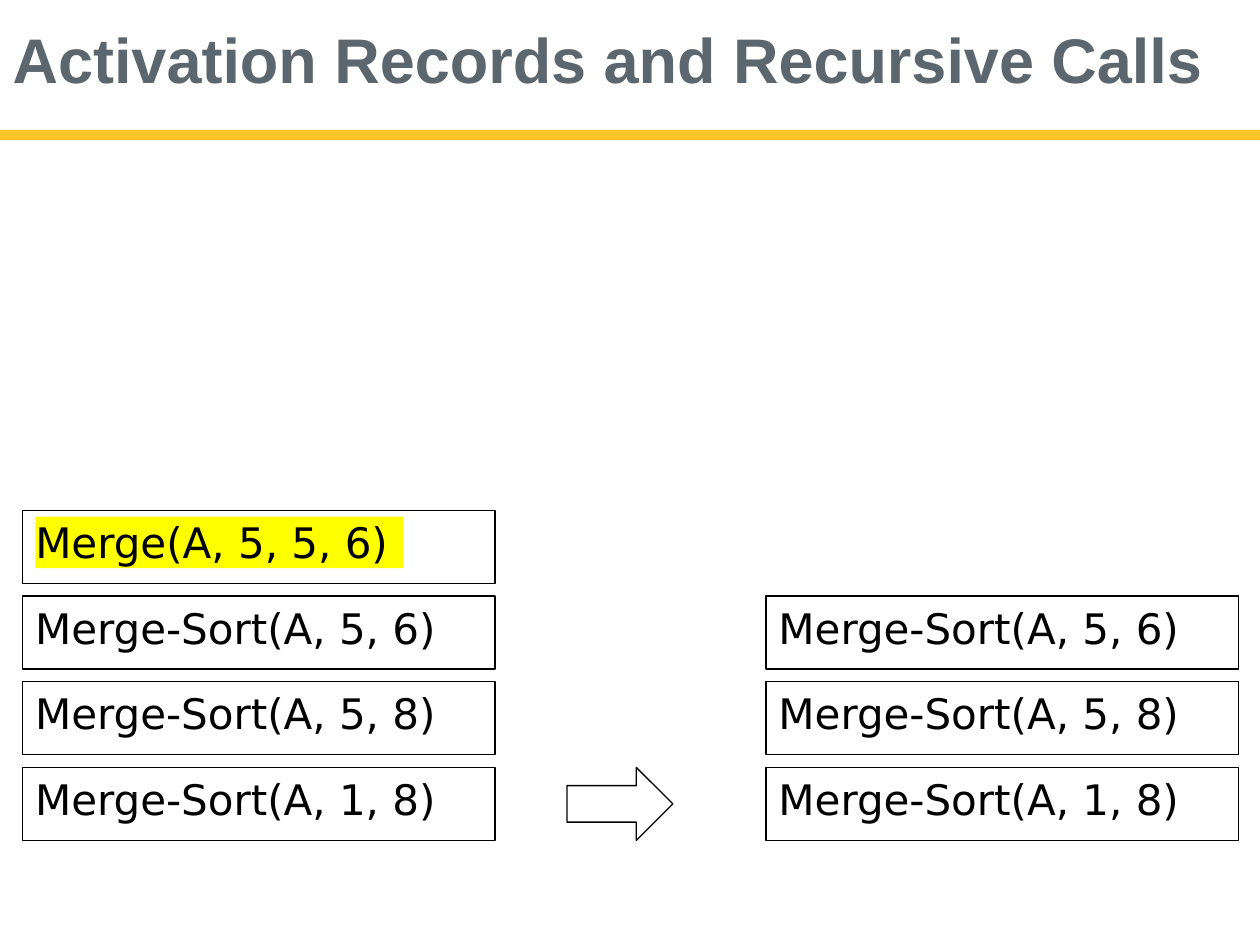
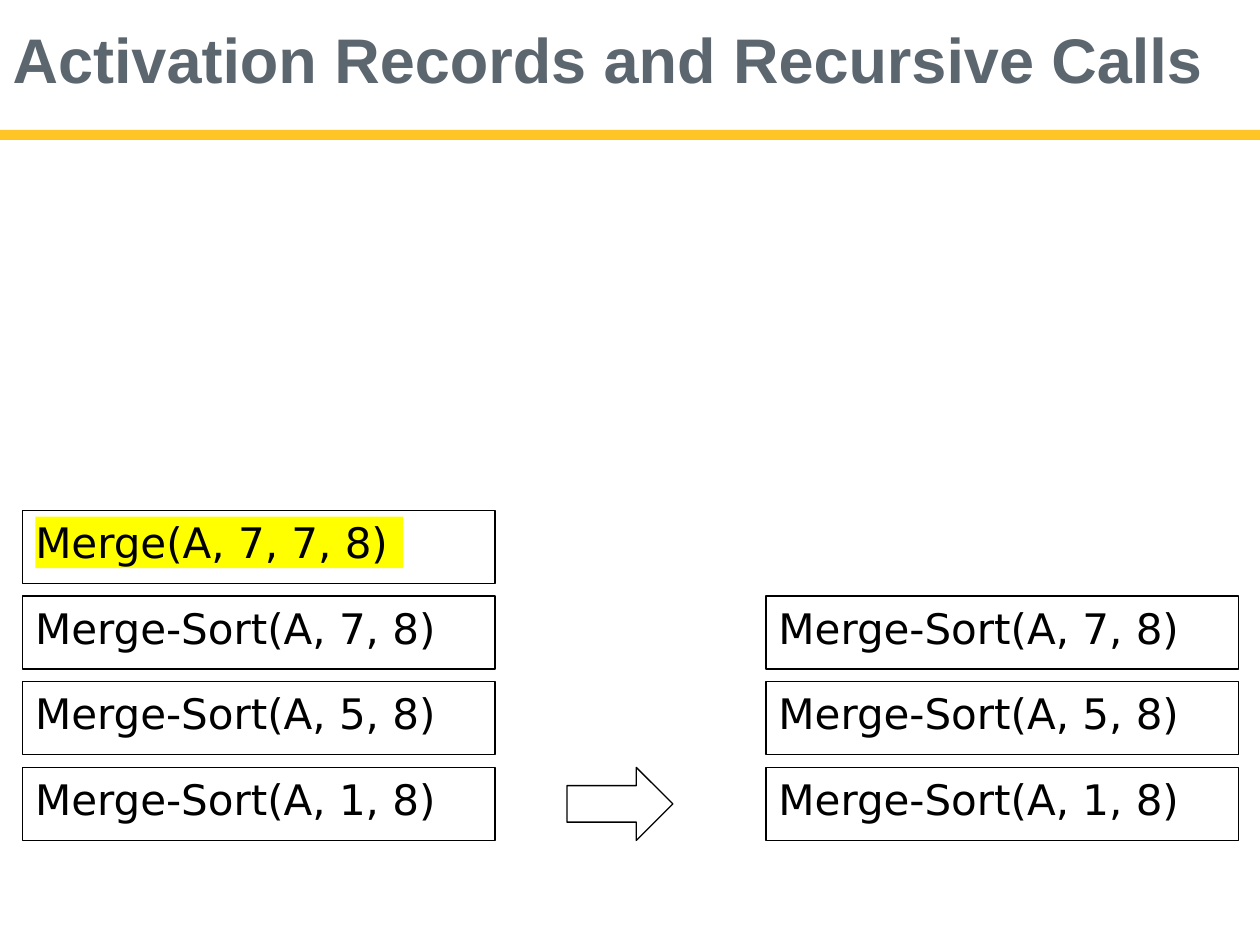
from pptx import Presentation
from pptx.dml.color import RGBColor
from pptx.enum.shapes import MSO_SHAPE
from pptx.enum.text import MSO_ANCHOR, PP_ALIGN
from pptx.util import Inches, Pt

BLACK = RGBColor(0x00, 0x00, 0x00)
SLATE = RGBColor(0x5C, 0x66, 0x6F)
GOLD = RGBColor(0xFF, 0xC5, 0x27)
YELLOW = RGBColor(0xFF, 0xFF, 0x00)

SLIDE_WIDTH, SLIDE_HEIGHT = 10, 7.5
RECORD_WIDTH, RECORD_HEIGHT = 3.75, 0.58
BEFORE_LEFT, AFTER_LEFT = 0.18, 6.08
BOTTOM_ROW, ROW_PITCH = 6.09, 0.68
ARROW_LEFT, ARROW_WIDTH = 4.5, 0.84
TEXT_INDENT, TEXT_DROP = 0.1, 0.05

TITLE = "Activation Records and Recursive Calls"
# Calls on the stack from the bottom up, then the merge that returns.
STEPS = [
    (["Merge-Sort(A, 1, 8)", "Merge-Sort(A, 5, 8)", "Merge-Sort(A, 5, 6)"], "Merge(A, 5, 5, 6)"),
    (["Merge-Sort(A, 1, 8)", "Merge-Sort(A, 5, 8)", "Merge-Sort(A, 7, 8)"], "Merge(A, 7, 7, 8)"),
]


def add_box(slide, left, top, width, height, preset=MSO_SHAPE.RECTANGLE, fill=None, line=None):
    box = slide.shapes.add_shape(
        preset, Inches(left), Inches(top), Inches(width), Inches(height))
    box.shadow.inherit = False
    if fill is None:
        box.fill.background()
    else:
        box.fill.solid()
        box.fill.fore_color.rgb = fill
    if line is None:
        box.line.fill.background()
    else:
        box.line.color.rgb = line
        box.line.width = Pt(0.75)
    return box


def write(box, text, font="DejaVu Sans", size=24, color=BLACK, bold=False, indent=0, drop=0):
    frame = box.text_frame
    frame.word_wrap = True
    frame.vertical_anchor = MSO_ANCHOR.TOP
    frame.margin_left, frame.margin_top = Inches(indent), Inches(drop)
    frame.margin_right = frame.margin_bottom = 0
    para = frame.paragraphs[0]
    para.alignment = PP_ALIGN.LEFT
    span = para.add_run()
    span.text = text
    span.font.name = font
    span.font.size = Pt(size)
    span.font.bold = bold
    span.font.color.rgb = color


deck = Presentation()
deck.slide_width = Inches(SLIDE_WIDTH)
deck.slide_height = Inches(SLIDE_HEIGHT)
blank = deck.slide_layouts[6]
row_tops = [BOTTOM_ROW - row * ROW_PITCH for row in range(4)]

for calls, merge in STEPS:
    slide = deck.slides.add_slide(blank)
    add_box(slide, 0, 1.03, SLIDE_WIDTH, 0.08, fill=GOLD)
    title = slide.shapes.add_textbox(Inches(0.09), Inches(0.15), Inches(9.6), Inches(0.63))
    write(title, TITLE, font="Arial", size=36, color=SLATE, bold=True, indent=0.01, drop=0.01)

    for left in (BEFORE_LEFT, AFTER_LEFT):
        for call, top in zip(calls, row_tops):
            record = add_box(slide, left, top, RECORD_WIDTH, RECORD_HEIGHT, line=BLACK)
            write(record, call, indent=TEXT_INDENT, drop=TEXT_DROP)

    merge_top = row_tops[len(calls)]
    add_box(slide, BEFORE_LEFT, merge_top, RECORD_WIDTH, RECORD_HEIGHT, line=BLACK)
    highlight = add_box(slide, BEFORE_LEFT + TEXT_INDENT, merge_top + TEXT_DROP, 2.92, 0.41,
                        fill=YELLOW)
    write(highlight, merge)

    add_box(slide, ARROW_LEFT, BOTTOM_ROW, ARROW_WIDTH, RECORD_HEIGHT,
            preset=MSO_SHAPE.RIGHT_ARROW, line=BLACK)

deck.save("out.pptx")
